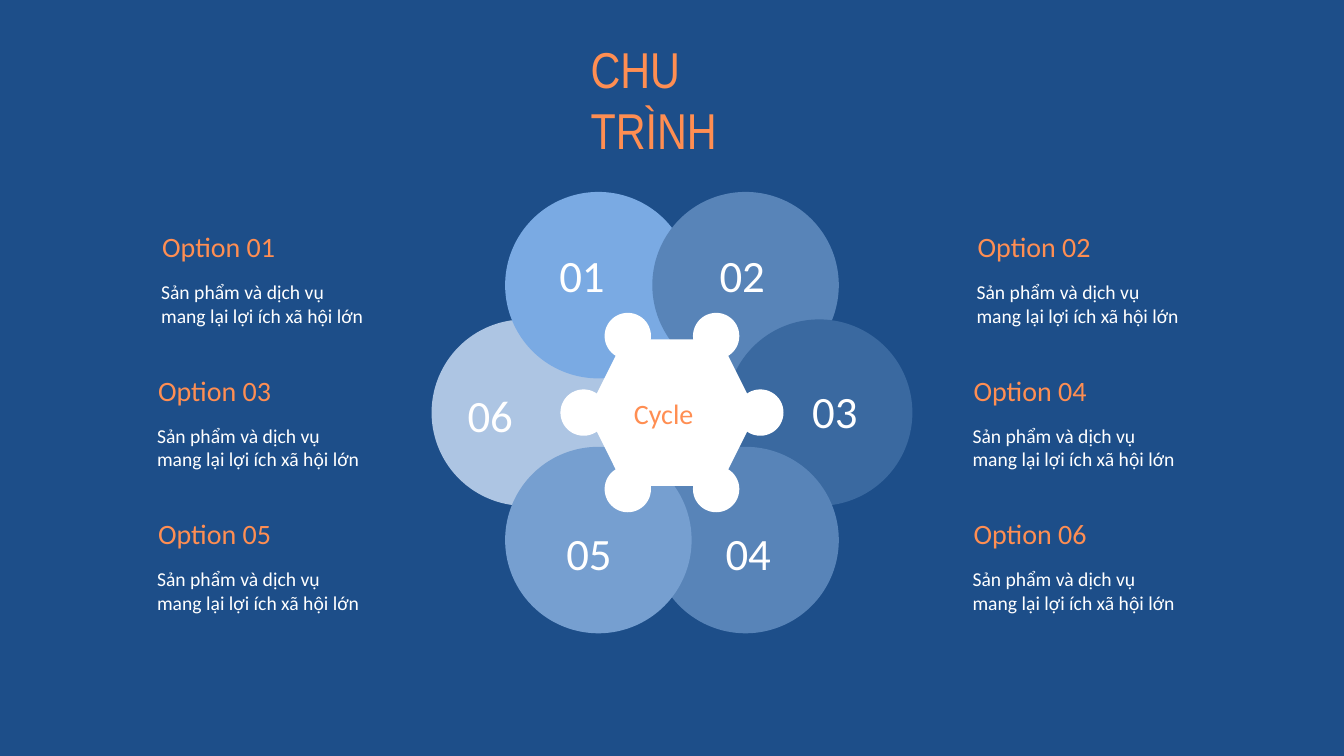
from math import cos, radians, sin

from pptx import Presentation
from pptx.dml.color import RGBColor
from pptx.enum.shapes import MSO_SHAPE as Shape
from pptx.enum.text import MSO_AUTO_SIZE as AutoSize
from pptx.util import Inches, Pt

WIDTH, HEIGHT = Inches(13.33), Inches(7.5)
COLUMNS, ROWS = 40, 22.5
COLORS = {
    "background": "1D4E89",
    "accent": "FF8E52",
    "white": "FFFFFF",
    "pale": "ADC5E3",
    "sky": "7AAAE3",
    "steel": "5884B8",
    "deep": "3A69A0",
    "soft": "769FD0",
}
HUB = (20, 12.28)

# Clockwise from the left: number, petal colour, column and row of the number
PETALS = [
    ("06", "pale", 13.62, 11.4),
    ("01", "sky", 16.35, 7.23),
    ("02", "steel", 21.12, 7.23),
    ("03", "deep", 23.88, 11.28),
    ("04", "steel", 21.3, 15.51),
    ("05", "soft", 16.56, 15.51),
]
DESCRIPTION = ["Sản phẩm và dịch vụ", "mang lại lợi ích xã hội lớn"]


def cells(column, row, width, height):
    """Turn grid columns and rows into slide lengths."""
    return (int(WIDTH * column / COLUMNS), int(HEIGHT * row / ROWS),
            int(WIDTH * width / COLUMNS), int(HEIGHT * height / ROWS))


def rgb(color):
    return RGBColor.from_string(COLORS[color])


def add_centered(shapes, kind, center, width, height, color):
    column, row = center
    figure = shapes.add_shape(
        kind, *cells(column - width / 2, row - height / 2, width, height))
    figure.shadow.inherit = False
    figure.fill.solid()
    figure.fill.fore_color.rgb = rgb(color)
    figure.line.fill.background()


def add_ring(shapes, radius, diameter, colors):
    """Place one circle per colour around the hub, clockwise from the left."""
    for index, color in enumerate(colors):
        angle = radians(180 + index * 360 / len(colors))
        center = (HUB[0] + radius * cos(angle), HUB[1] + radius * sin(angle))
        add_centered(shapes, Shape.OVAL, center, diameter, diameter, color)


def add_label(slide, area, lines, size, color, font="Calibri"):
    frame = slide.shapes.add_textbox(*cells(*area)).text_frame
    frame.word_wrap = True
    frame.auto_size = AutoSize.SHAPE_TO_FIT_TEXT
    for index, line in enumerate(lines):
        paragraph = frame.add_paragraph() if index else frame.paragraphs[0]
        run = paragraph.add_run()
        run.text = line
        run.font.size = Pt(size)
        run.font.name = font
        run.font.color.rgb = rgb(color)


def add_option(slide, number):
    row_index, side = divmod(number - 1, 2)
    column = (4.41 if row_index else 4.53) + side * 24.27
    row = 6.69 + row_index * 4.27
    add_label(slide, (column, row, 4.86, 1.32),
              [f"Option {number:02}"], 20, "accent")
    add_label(slide, (column - 0.03, row + 1.5, 8.79, 1.71),
              DESCRIPTION, 14, "white")


def add_flower(slide):
    flower = slide.shapes.add_group_shape().shapes
    add_ring(flower, 4.38, 5.55, [color for _, color, _, _ in PETALS])
    add_centered(flower, Shape.HEXAGON, HUB, 5.04, 4.36, "white")
    add_ring(flower, 2.63, 1.38, ["white"] * len(PETALS))


def main():
    deck = Presentation()
    deck.slide_width, deck.slide_height = WIDTH, HEIGHT
    slide = deck.slides.add_slide(deck.slide_layouts[6])
    slide.background.fill.solid()
    slide.background.fill.fore_color.rgb = rgb("background")

    add_flower(slide)
    add_label(slide, (17.28, 0.99, 5.4, 2.13), ["CHU TRÌNH"], 36, "accent",
              "Arial Narrow")
    for number in range(1, 7):
        add_option(slide, number)
    for number, _, column, row in PETALS:
        add_label(slide, (column, row, 2.28, 1.92), [number], 32, "white")
    add_label(slide, (18.57, 11.64, 2.91, 1.32), ["Cycle"], 20, "accent")
    deck.save("out.pptx")


if __name__ == "__main__":
    main()
